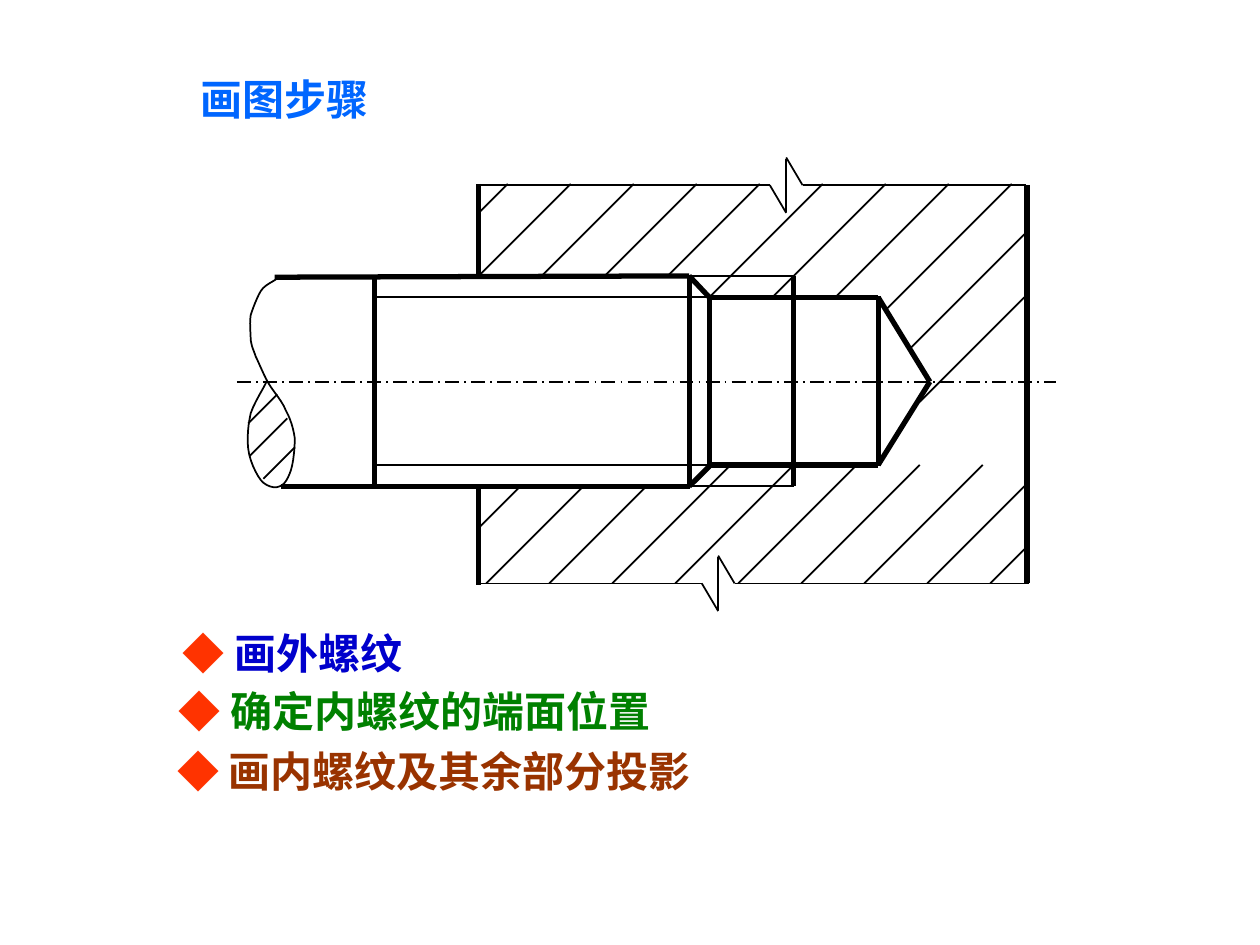
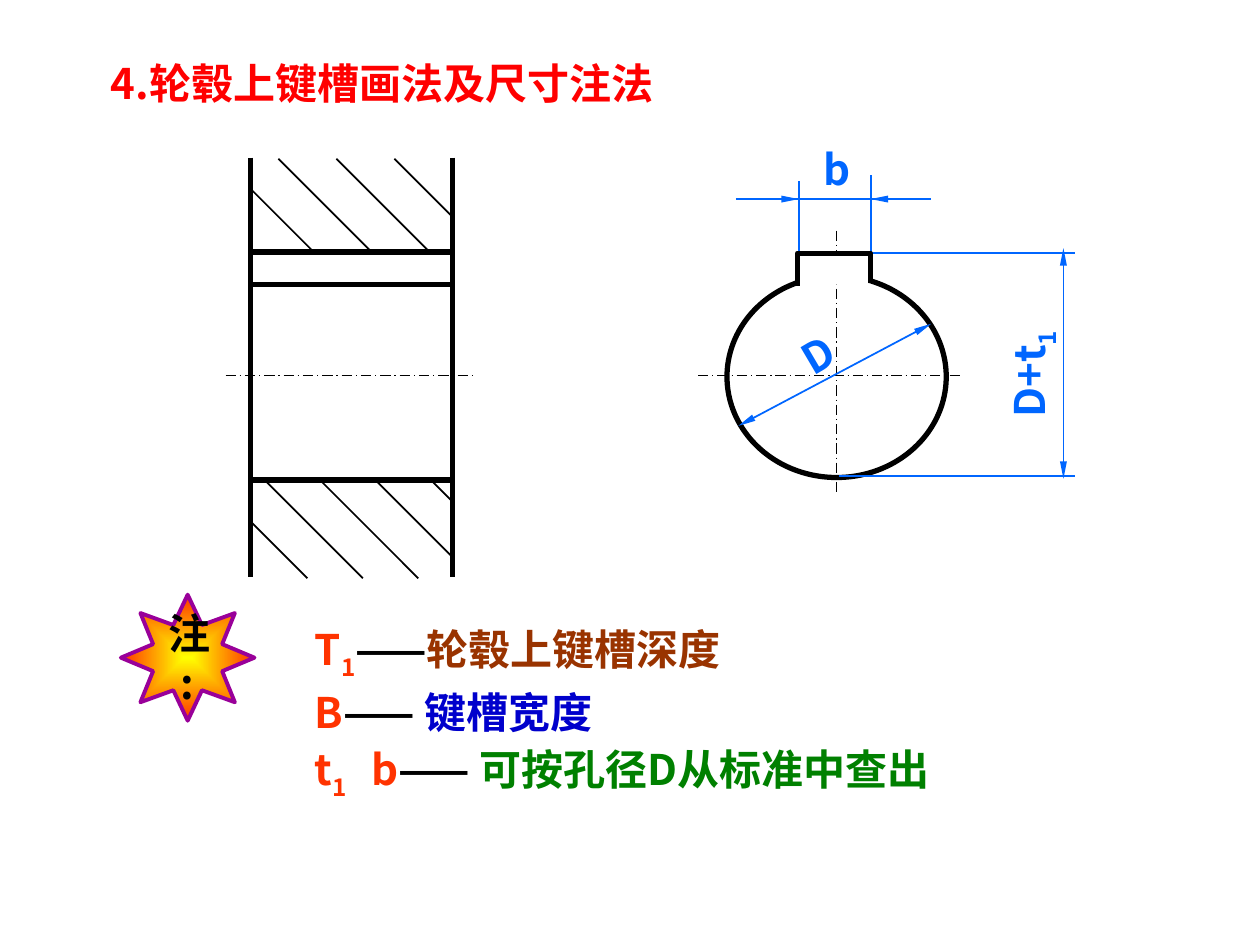
"""Builds two slides on drawing screw joints and hub keyways."""
import math
from lxml import etree
from pptx import Presentation, util as u
from pptx.dml.color import RGBColor
from pptx.enum import dml, shapes, text
from pptx.oxml.ns import qn

HUES = {"black": "000000", "white": "FFFFFF", "sky": "0066FF", "red": "FF0000",
        "flame": "FF3300", "navy": "0000CC", "green": "008000",
        "brown": "993300", "gold": "FFFF00", "plum": "990099"}
FONT = "Noto Sans CJK SC"
TYPE = {"name": FONT, "size": u.Pt(24), "bold": True}
THIN, THICK, FINE = 1, 3, 0.75


def rgb(hue):
    """Turn a colour name into an RGB value."""
    return RGBColor.from_string(HUES[hue])


def emu(spots):
    """Turn points in inches into lengths."""
    return [(u.Inches(x), u.Inches(y)) for x, y in spots]


def bezier(start, curves):
    """Return points along a chain of cubic curves."""
    spots = [start]
    for a, b, c, d, e, f in curves:
        ctrl = [spots[-1], (a, b), (c, d), (e, f)]
        for step in range(1, 7):
            t = step / 6
            mix = [(1 - t) ** 3, 3 * t * (1 - t) ** 2, 3 * t * t * (1 - t), t ** 3]
            spots.append(tuple(sum(m * p[i] for m, p in zip(mix, ctrl))
                               for i in (0, 1)))
    return spots


class Pen:
    """Holds the style and the current slide, and draws on it."""

    def __init__(self, deck):
        """Keep the deck to add slides to."""
        self.deck, self.slide = deck, None

    def page(self):
        """Start a blank slide."""
        self.slide = self.deck.slides.add_slide(self.deck.slide_layouts[6])

    def stroke(self, item, hue, width):
        """Set the line of a shape."""
        item.line.color.rgb = rgb(hue)
        item.line.width = u.Pt(width)

    def line(self, x1, y1, x2, y2, width=THIN, hue="black", dash=False, ends=()):
        """Draw a straight line, dashed or with arrowheads if asked."""
        (a, b), (c, d) = emu([(x1, y1), (x2, y2)])
        item = self.slide.shapes.add_connector(
            shapes.MSO_CONNECTOR.STRAIGHT, a, b, c, d)
        self.stroke(item, hue, width)
        if dash:
            item.line.dash_style = dml.MSO_LINE.LONG_DASH_DOT
        edge = item.line._get_or_add_ln()
        for end in ends:
            etree.SubElement(edge, qn(f"a:{end}End"), type="triangle", w="sm", len="lg")
        etree.SubElement(item._element.spPr, qn("a:effectLst"))

    def lines(self, rows, **look):
        """Draw many lines with one look."""
        for row in rows:
            self.line(*row, **look)

    def hatch(self, c, way, top, low):
        """Draw a hatch line x = c + way * y between two heights."""
        self.line(c + way * top, top, c + way * low, low)

    def form(self, spots, hue="black", width=THIN, fill=None, close=False):
        """Draw an outline through points."""
        first, *rest = emu(spots)
        maker = self.slide.shapes.build_freeform(*first)
        maker.add_line_segments(rest, close=close)
        return self.coat(maker.convert_to_shape(), hue, width, fill)

    def oval(self, x, y, w, h, width):
        """Draw an empty ellipse."""
        item = self.slide.shapes.add_shape(
            shapes.MSO_SHAPE.OVAL, *map(u.Inches, (x, y, w, h)))
        return self.coat(item, "black", width)

    def coat(self, item, hue, width, fill=None):
        """Set the line and fill of a shape and drop its shadow."""
        item.shadow.inherit = False
        self.stroke(item, hue, width)
        if fill:
            item.fill.solid()
            item.fill.fore_color.rgb = rgb(fill)
        else:
            item.fill.background()
        return item

    def glow(self, item, inner, outer):
        """Fill a shape with a gradient spreading from its centre."""
        item.fill.gradient()
        for stop, hue in zip(item.fill.gradient_stops, (inner, outer)):
            stop.color.rgb = rgb(hue)
        grad = item._element.spPr.find(qn("a:gradFill"))
        grad.remove(grad.find(qn("a:lin")))
        ray = etree.SubElement(grad, qn("a:path"), path="rect")
        half = dict.fromkeys("ltrb", "50000")
        etree.SubElement(ray, qn("a:fillToRect"), **half)

    def label(self, x, y, w, h, *runs, turn=0, mid=False, wrap=True, face=FONT):
        """Write runs of (words, colour, baseline) in a text box."""
        box = self.slide.shapes.add_textbox(*map(u.Inches, (x, y, w, h)))
        box.rotation = turn
        frame = box.text_frame
        look = {"word_wrap": wrap, "vertical_anchor": text.MSO_ANCHOR.MIDDLE}
        for key, value in look.items():
            setattr(frame, key, value)
        para = frame.paragraphs[0]
        para.alignment = text.PP_ALIGN.CENTER if mid else text.PP_ALIGN.LEFT
        for words, hue, *base in runs:
            run = para.add_run()
            run.text = words
            for key, value in {**TYPE, "name": face}.items():
                setattr(run.font, key, value)
            run.font.color.rgb = rgb(hue)
            props = run._r.get_or_add_rPr()
            etree.SubElement(props, qn("a:ea"), typeface=FONT)
            if base:
                props.set("baseline", str(base[0] * 1000))


def screw(pen):
    """Draw the screw joint and the steps for drawing it."""
    pen.page()
    pen.label(1.49, 0.53, 2.45, 0.5, ("画图步骤", "sky"), face="Times New Roman")

    lows = [1.69] + [2.19] * 4 + [2.36] * 3 + [2.46, 2.78, 3.19]
    for i, low in enumerate(lows):
        c = 5.49 + 0.5 * i
        pen.hatch(c, -1, max(1.46, c - 8.13), low)
    for i in range(10):
        c = 7.99 + 0.5 * i
        top = 3.86 if i < 3 else 3.69
        pen.hatch(c, -1, max(top, c - 8.13), min(4.63, c - 3.8))

    for y in (2.36, 3.69):
        pen.line(2.97, y, 5.63, y)
        pen.line(5.63, y, 6.97, y, THICK)
        pen.line(6.97, y, 7.38, 3.03, THICK)
    for y in (2.19, 3.86):
        pen.line(5.47, y, 6.3, y)
    walls = [(3.8, 1.46, 2.2), (3.8, 3.86, 4.64), (8.15, 1.47, 4.63),
             (6.3, 2.19, 3.86), (6.97, 2.35, 3.7), (5.47, 2.19, 3.86),
             (2.97, 2.19, 3.86), (5.63, 2.36, 3.71)]
    pen.lines([(x, top, x, low) for x, top, low in walls], width=THICK)
    pen.lines([(2.18, 2.2, 5.47, 2.19), (2.23, 3.86, 5.48, 3.86),
               (5.47, 2.19, 5.63, 2.36), (5.47, 3.86, 5.63, 3.7)], width=THICK)
    pen.line(1.88, 3.03, 8.38, 3.03, dash=True)

    pen.lines([(1.97, 3.36, 2.2, 3.13), (1.98, 3.62, 2.28, 3.32),
               (2.09, 3.8, 2.34, 3.55)])
    pen.form(bezier((2.2, 2.21), [
        (2.18, 2.23, 2.1, 2.26, 2.07, 2.31), (2.04, 2.36, 2.01, 2.44, 1.99, 2.5),
        (1.98, 2.56, 1.99, 2.65, 1.99, 2.7), (2, 2.76, 2.01, 2.77, 2.03, 2.83),
        (2.06, 2.89, 2.09, 2.97, 2.13, 3.04), (2.17, 3.11, 2.24, 3.18, 2.27, 3.26),
        (2.31, 3.33, 2.33, 3.41, 2.34, 3.48), (2.34, 3.56, 2.33, 3.66, 2.31, 3.73),
        (2.29, 3.79, 2.26, 3.85, 2.22, 3.86), (2.18, 3.88, 2.11, 3.86, 2.07, 3.81),
        (2.03, 3.76, 1.98, 3.65, 1.97, 3.56), (1.96, 3.47, 1.97, 3.37, 1.99, 3.28),
        (2.02, 3.19, 2.1, 3.07, 2.12, 3.02)]))

    for x, y, left, right, way in ((6.24, 1.47, 3.8, 8.14, 1),
                                   (5.7, 4.63, 3.8, 8.17, -1)):
        pen.lines([(left, y, x - 0.13, y), (x + 0.13, y, right, y),
                   (x, y - 0.21, x, y + 0.21),
                   (x - way * 0.13, y, x, y + way * 0.22),
                   (x, y - way * 0.22, x + way * 0.13, y)])

    steps = [(1.35, 4.93, 2.65, "画外螺纹", "navy"),
             (1.32, 5.39, 5.18, "确定内螺纹的端面位置", "green"),
             (1.31, 5.87, 5.22, "画内螺纹及其余部分投影", "brown")]
    for x, y, w, words, hue in steps:
        pen.label(x, y, w, 0.5, ("◆ ", "flame"), (words, hue))


def hub(pen):
    """Draw the hub keyway, its sizes and the notes."""
    pen.page()
    pen.label(0.78, 0.4, 5.03, 0.51, ("4.轮毂上键槽画法及尺寸注法", "red"))

    pen.lines([(x, 1.25, x, 4.58) for x in (1.99, 3.59)], width=THICK)
    for first, step, count, top, low in ((0.49, 0.46, 4, 1.26, 2.01),
                                         (-0.39, -0.44, 5, 3.82, 4.59)):
        for i in range(count):
            c = first + step * i
            pen.hatch(c, 1, max(top, 2 - c), min(low, 3.59 - c))
    pen.lines([(1.98, y, 3.59, y) for y in (2, 2.26, 3.81)], width=THICK)

    pen.oval(5.77, 2.19, 1.74, 1.6, THICK)
    pen.lines([(1.79, 2.98, 3.77, 2.98), (5.54, 2.98, 7.64, 2.98),
               (6.64, 1.83, 6.64, 3.92)], width=FINE, dash=True)

    pen.lines([(6.34, 2.03, 6.34, 1.44), (6.91, 2.04, 6.91, 1.39),
               (5.84, 1.58, 7.39, 1.58), (6.66, 3.78, 8.53, 3.78),
               (6.89, 2.01, 8.53, 2.01)], hue="sky")
    pen.lines([(6.18, 1.58, 6.34, 1.58), (7.14, 1.58, 6.91, 1.58)],
              hue="sky", ends=["tail"])
    pen.lines([(5.86, 3.38, 7.39, 2.57), (8.44, 1.97, 8.44, 3.8)],
              hue="sky", ends=["head", "tail"])
    pen.form([(6.33, 2.27), (6.33, 2.01), (6.91, 2.01), (6.91, 2.25)],
             width=THICK, fill="white")
    sizes = [(6.44, 1.09, 0.41, 0.5, 0, [("b", "sky")]),
             (6.27, 2.56, 0.44, 0.5, 329.5, [("D", "sky")]),
             (7.75, 2.69, 0.89, 0.56, 270, [("D+t", "sky"), ("1", "sky", -25)])]
    for x, y, w, h, turn, runs in sizes:
        pen.label(x, y, w, h, *runs, turn=turn, mid=True, wrap=False)

    spots = []
    for i in range(16):
        size, turn = (0.56 if i % 2 else 1), math.pi * i / 8
        spots.append((1.49 + 0.53 * size * math.cos(turn),
                      5.22 + 0.5 * size * math.sin(turn)))
    star = pen.form(spots, "plum", 2.25, close=True)
    pen.glow(star, "gold", "flame")
    pen.label(1.24, 4.97, 0.5, 0.5, ("注:", "black"), mid=True)

    notes = [(4.9, 0.56, [("T", "flame"), ("1", "flame", -25), ("——", "black"),
                          ("轮毂上键槽深度", "brown")]),
             (5.4, 0.5, [("B", "flame"), ("—— ", "black"), ("键槽宽度", "navy")]),
             (5.85, 0.56, [("t", "flame"), ("1　", "flame", -25), ("b", "flame"),
                           ("—— ", "black"), ("可按孔径D从标准中查出", "green")])]
    for y, h, runs in notes:
        pen.label(2.4, y, 6.05, h, *runs)


def main():
    """Build and save the deck."""
    deck = Presentation()
    deck.slide_width, deck.slide_height = u.Inches(10), u.Inches(7.5)
    pen = Pen(deck)
    screw(pen)
    hub(pen)
    deck.save("out.pptx")


if __name__ == "__main__":
    main()
